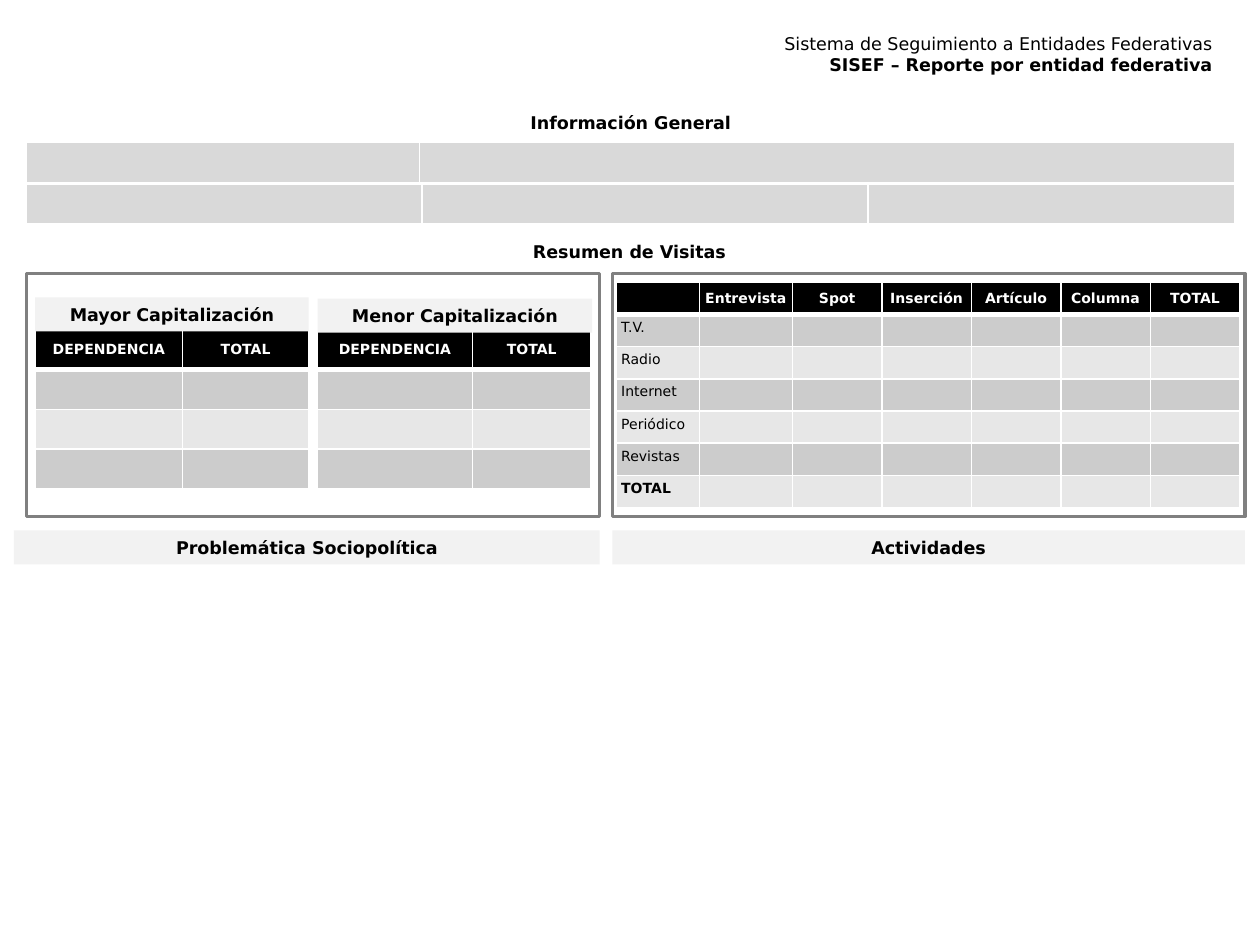
"""Build the state report slide with its summary tables."""
from lxml import etree
from pptx import Presentation
from pptx import util as u
from pptx.dml.color import RGBColor
from pptx.enum import shapes, text
from pptx.oxml import ns

FONT = "DejaVu Sans"
BLACK = RGBColor(0x00, 0x00, 0x00)
WHITE = RGBColor(0xFF, 0xFF, 0xFF)
GRAY = RGBColor(0x80, 0x80, 0x80)
PALE = RGBColor(0xF2, 0xF2, 0xF2)
INFO = RGBColor(0xD9, 0xD9, 0xD9)
BANDS = (RGBColor(0xCC, 0xCC, 0xCC), RGBColor(0xE7, 0xE7, 0xE7))

TITLE = [("Sistema de Seguimiento a Entidades Federativas", False),
         ("SISEF – Reporte por entidad federativa", True)]
INFO_TABLES = [(1.13, [3.12, 6.47]), (1.46, [3.14, 3.54, 2.91])]
MEDIA = ["T.V.", "Radio", "Internet", "Periódico", "Revistas", "TOTAL"]
FORMATS = ["", "Entrevista", "Spot", "Inserción", "Artículo", "Columna", "TOTAL"]
RANKING = [["DEPENDENCIA", "TOTAL"]] + [["", ""]] * 3
DATA_TABLES = [
    (4.89, 2.24, [0.66, 0.74] + [0.71] * 5, 1.79,
     [FORMATS] + [[name] + [""] * 6 for name in MEDIA]),
    (0.28, 2.62, [1.17, 1], 1.26, RANKING),
    (2.52, 2.62, [1.23, 0.94], 1.26, RANKING),
]
HEADINGS = [("Información General", 3.98, 0.84, 2.05),
            ("Resumen de Visitas", 3.97, 1.86, 2.05)]
FRAMES = [(0.21, 2.17, 4.55, 1.93), (4.86, 2.17, 5.02, 1.93)]
BANNERS = [("Mayor Capitalización", 0.28, 2.36, 2.17),
           ("Menor Capitalización", 2.52, 2.37, 2.18),
           ("Actividades", 4.86, 4.21, 5.02),
           ("Problemática Sociopolítica", 0.11, 4.21, 4.65)]
BAR_HEIGHT = 0.27


def write(paragraph, content, size, color, bold, align):
    paragraph.alignment = align
    run = paragraph.add_run()
    run.text = content
    run.font.name, run.font.size = FONT, u.Pt(size)
    run.font.bold = bold
    run.font.color.rgb = color


def set_borders(cell, top, bottom):
    properties = cell._tc.get_or_add_tcPr()
    for side, width in (("L", 1), ("R", 1), ("T", top), ("B", bottom)):
        line = etree.SubElement(properties, ns.qn(f"a:ln{side}"), w=str(u.Pt(width)))
        fill = etree.SubElement(line, ns.qn("a:solidFill"))
        etree.SubElement(fill, ns.qn("a:srgbClr"), val=str(WHITE))


def add_grid(slide, left, top, widths, height, rows, header_fill):
    frame = slide.shapes.add_table(len(rows), len(widths), u.Inches(left), u.Inches(top),
                                   u.Inches(sum(widths)), u.Inches(height))
    table = frame.table
    for column, width in zip(table.columns, widths):
        column.width = u.Inches(width)
    for r, values in enumerate(rows):
        table.rows[r].height = u.Inches(height / len(rows))
        for c, value in enumerate(values):
            cell = table.cell(r, c)
            set_borders(cell, 3 if r == 1 else 1, 3 if r == 0 else 1)
            cell.fill.solid()
            cell.fill.fore_color.rgb = BANDS[(r - 1) % 2] if r else header_fill
            cell.margin_left = cell.margin_right = u.Inches(0.04)
            cell.margin_top = cell.margin_bottom = u.Inches(0.04)
            cell.vertical_anchor = text.MSO_ANCHOR.TOP if r else text.MSO_ANCHOR.MIDDLE
            paragraph = cell.text_frame.paragraphs[0]
            if value:
                write(paragraph, value, 8, BLACK if r else WHITE,
                      r == 0 or value == "TOTAL",
                      text.PP_ALIGN.LEFT if r else text.PP_ALIGN.CENTER)
            else:
                etree.SubElement(paragraph._p, ns.qn("a:endParaRPr"), sz="800")


def add_heading(slide, content, left, top, width):
    box = slide.shapes.add_textbox(u.Inches(left), u.Inches(top),
                                   u.Inches(width), u.Inches(BAR_HEIGHT))
    box.text_frame.word_wrap = True
    write(box.text_frame.paragraphs[0], content, 10, BLACK, True, text.PP_ALIGN.CENTER)


def add_rectangle(slide, left, top, width, height):
    shape = slide.shapes.add_shape(shapes.MSO_SHAPE.RECTANGLE, u.Inches(left),
                                   u.Inches(top), u.Inches(width), u.Inches(height))
    shape.shadow.inherit = False
    return shape


def add_frame(slide, left, top, width, height):
    shape = add_rectangle(slide, left, top, width, height)
    shape.fill.background()
    shape.line.color.rgb = GRAY
    shape.line.width = u.Pt(2)


def add_banner(slide, content, left, top, width):
    shape = add_rectangle(slide, left, top, width, BAR_HEIGHT)
    shape.fill.solid()
    shape.fill.fore_color.rgb = PALE
    shape.line.fill.background()
    write(shape.text_frame.paragraphs[0], content, 10, BLACK, True, text.PP_ALIGN.CENTER)


def add_title(slide):
    title = slide.shapes.title
    title.left, title.top = u.Inches(5.47), u.Inches(0.21)
    title.width, title.height = u.Inches(4.25), u.Inches(0.44)
    frame = title.text_frame
    frame.vertical_anchor = text.MSO_ANCHOR.TOP
    frame.auto_size = text.MSO_AUTO_SIZE.NONE
    for index, (content, bold) in enumerate(TITLE):
        paragraph = frame.add_paragraph() if index else frame.paragraphs[0]
        write(paragraph, content, 10, BLACK, bold, text.PP_ALIGN.RIGHT)


def main():
    presentation = Presentation()
    presentation.slide_width, presentation.slide_height = u.Inches(10), u.Inches(7.5)
    slide = presentation.slides.add_slide(presentation.slide_layouts[5])
    add_title(slide)
    for top, widths in INFO_TABLES:
        add_grid(slide, 0.21, top, widths, 0.33, [[""] * len(widths)], INFO)
    for grid in DATA_TABLES:
        add_grid(slide, *grid, BLACK)
    for heading in HEADINGS:
        add_heading(slide, *heading)
    for frame in FRAMES:
        add_frame(slide, *frame)
    for banner in BANNERS:
        add_banner(slide, *banner)
    presentation.save("out.pptx")


if __name__ == "__main__":
    main()
